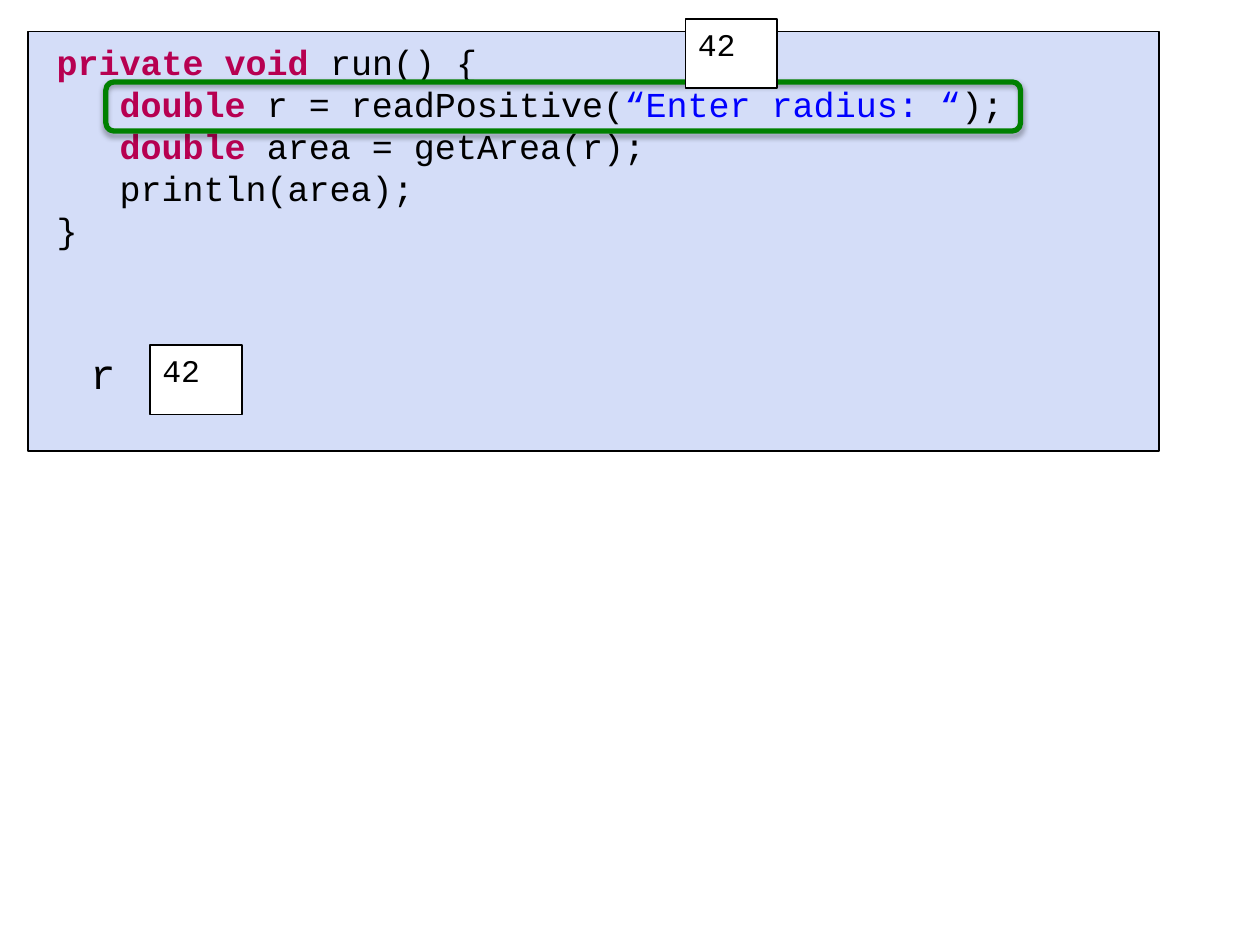
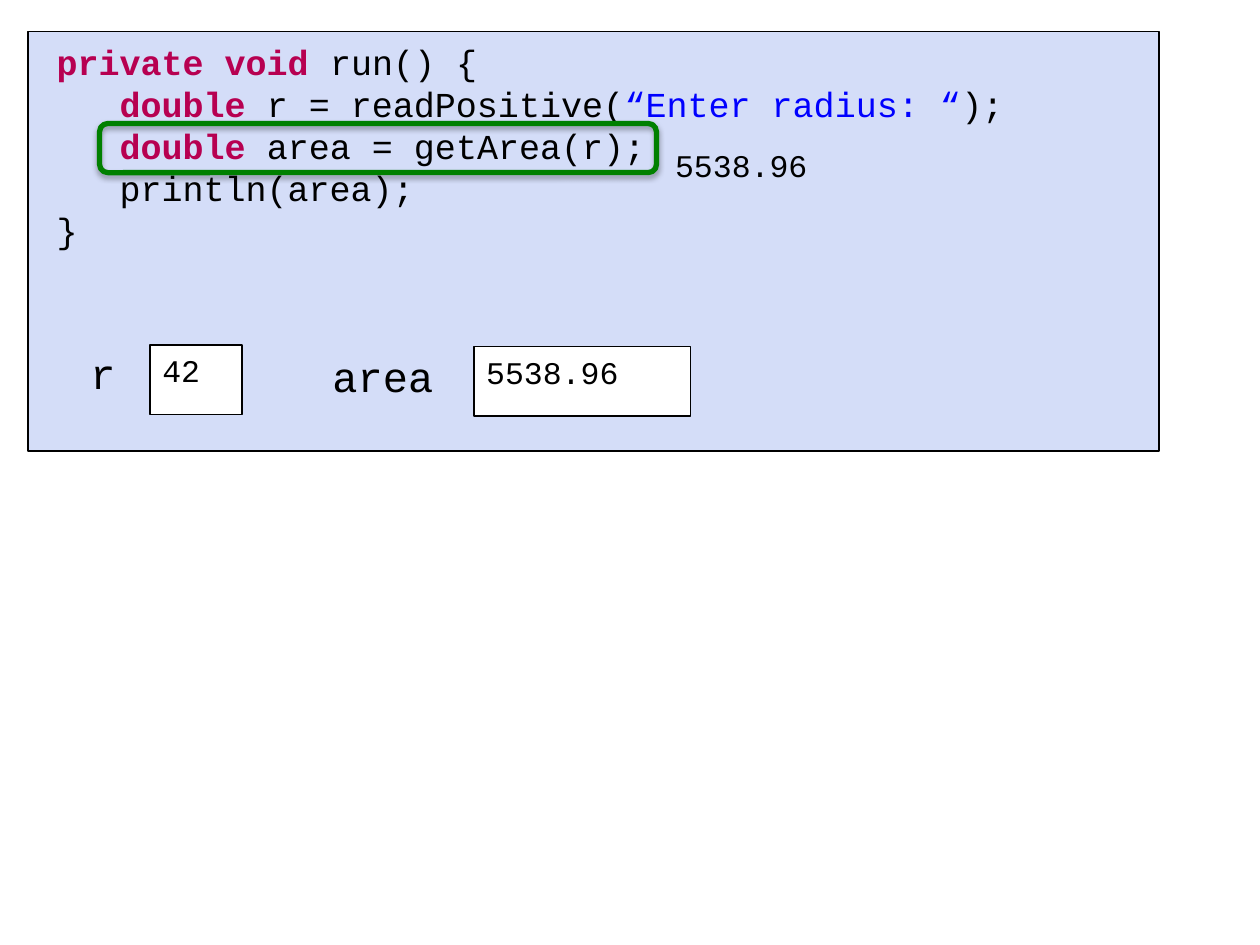
from pptx import Presentation
from pptx.dml.color import RGBColor
from pptx.enum.shapes import MSO_SHAPE as Shape
from pptx.enum.text import MSO_ANCHOR as Anchor, PP_ALIGN as Align
from pptx.oxml import parse_xml
from pptx.util import Inches, Pt

FONT = "Courier New"
PANEL, WHITE, BLACK = "D4DDF8", "FFFFFF", "000000"
KEYWORD, STRING, GREEN = "B70051", "0000FF", "008000"
SHADOW = (
    '<a:effectLst xmlns:a="http://schemas.openxmlformats.org/drawingml/2006/main">'
    '<a:outerShdw blurRad="39370" dist="22860" dir="5400000" rotWithShape="0">'
    '<a:srgbClr val="000000"><a:alpha val="35000"/></a:srgbClr>'
    '</a:outerShdw></a:effectLst>'
)

# Each line: indent in inches, then its spans as (text, colour)
CODE = [
    (0, [("private void ", KEYWORD), ("run() {", BLACK)]),
    (0.5, [("double", KEYWORD), (" r = readPositive(", BLACK),
           ("“Enter radius: “", STRING), (");", BLACK)]),
    (0.5, [("double ", KEYWORD), ("area = getArea(r);", BLACK)]),
    (0.5, [("println(area);", BLACK)]),
    (0, [("}", BLACK)]),
]

R_VARIABLE = [("label", (0.62, 2.71, 0.4, 0.51), "r"),
              ("cell", (1.19, 2.74, 0.73, 0.55), "42")]
STEPS = [
    {"highlight": (0.84, 0.65, 7.26, 0.39),
     "values": [("cell", (5.44, 0.15, 0.73, 0.55), "42")] + R_VARIABLE},
    {"highlight": (0.79, 0.98, 4.42, 0.39),
     "values": R_VARIABLE + [
         ("result", (5.26, 1.11, 1.7, 0.55), "5538.96"),
         ("label", (2.54, 2.73, 1.01, 0.5), "area"),
         ("cell", (3.76, 2.75, 1.72, 0.55), "5538.96")]},
]


def color(value):
    return RGBColor.from_string(value)


def add_outlined(page, kind, place, fill, line, width):
    """Add a shape without shadow; a fill of None leaves it hollow."""
    box = page.shapes.add_shape(kind, *map(Inches, place))
    box.shadow.inherit = False
    if fill:
        box.fill.solid()
        box.fill.fore_color.rgb = color(fill)
    else:
        box.fill.background()
    box.line.color.rgb = color(line)
    box.line.width = Pt(width)
    return box


deck = Presentation()
deck.slide_width, deck.slide_height = Inches(10), Inches(7.5)

for step in STEPS:
    page = deck.slides.add_slide(deck.slide_layouts[6])
    add_outlined(page, Shape.RECTANGLE, (0.22, 0.25, 8.98, 3.33), PANEL, BLACK, 1)

    code = page.shapes.add_textbox(*map(Inches, (0.35, 0.27, 9.32, 2.3))).text_frame
    code.word_wrap = True
    for number, (indent, spans) in enumerate(CODE):
        paragraph = code.add_paragraph() if number else code.paragraphs[0]
        paragraph.font.name, paragraph.font.size = FONT, Pt(20)
        paragraph._p.get_or_add_pPr().set("marL", str(Inches(indent)))
        for text, shade in spans:
            span = paragraph.add_run()
            span.text = text
            span.font.color.rgb = color(shade)
            span.font.bold = shade == KEYWORD

    highlight = add_outlined(page, Shape.ROUNDED_RECTANGLE, step["highlight"],
                             None, GREEN, 3)
    properties = highlight._element.spPr
    properties.replace(properties.find("{*}effectLst"), parse_xml(SHADOW))

    for role, place, text in step["values"]:
        if role == "cell":
            box = add_outlined(page, Shape.RECTANGLE, place, WHITE, BLACK, 1)
        else:
            box = page.shapes.add_textbox(*map(Inches, place))
        frame = box.text_frame
        frame.text = text
        frame.word_wrap = role != "label"
        frame.vertical_anchor = Anchor.TOP
        paragraph = frame.paragraphs[0]
        paragraph.alignment = Align.LEFT
        paragraph.font.name = FONT
        paragraph.font.size = Pt(24 if role == "label" else 18)
        paragraph.font.color.rgb = color(BLACK)

deck.save("out.pptx")
